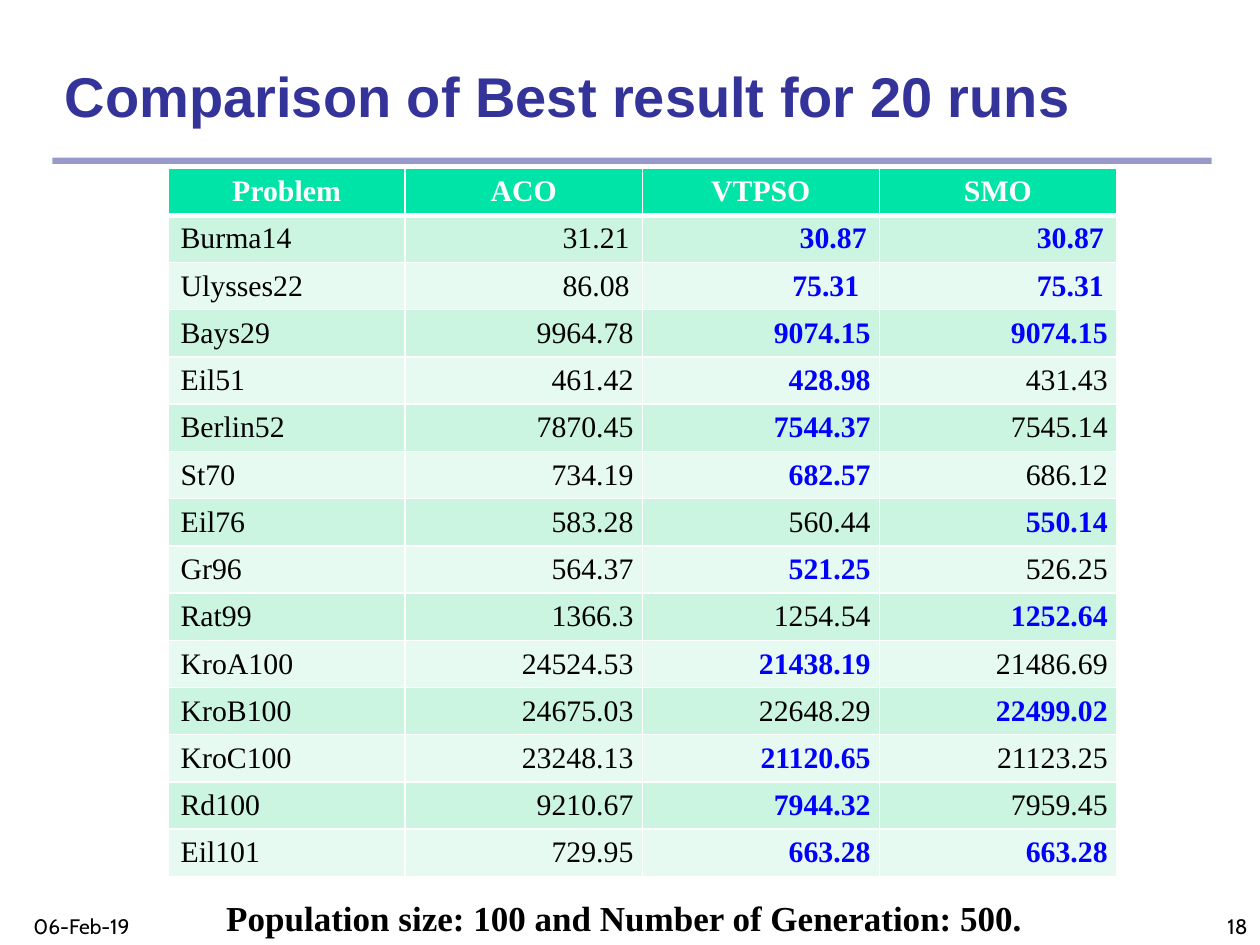
from lxml import etree
from pptx import Presentation
from pptx.dml.color import RGBColor
from pptx.enum.shapes import MSO_SHAPE
from pptx.enum.text import MSO_ANCHOR, PP_ALIGN
from pptx.oxml import parse_xml
from pptx.oxml.ns import nsdecls, qn
from pptx.util import Pt

RECT = MSO_SHAPE.RECTANGLE
TOP, MIDDLE, BOTTOM = MSO_ANCHOR.TOP, MSO_ANCHOR.MIDDLE, MSO_ANCHOR.BOTTOM
LEFT, CENTER, RIGHT = PP_ALIGN.LEFT, PP_ALIGN.CENTER, PP_ALIGN.RIGHT

NAVY = RGBColor(0x33, 0x33, 0x99)
BLACK = RGBColor(0, 0, 0)
WHITE = RGBColor(255, 255, 255)
BLUE = RGBColor(0, 0, 255)
GREEN = RGBColor(0x00, 0xE4, 0xA8)
MINT = RGBColor(0xCC, 0xF5, 0xE1)
PALE = RGBColor(0xE7, 0xFA, 0xF1)
SERIF = "Times New Roman"

HEADS = ["Problem", "ACO", "VTPSO", "SMO"]
RESULTS = [
    ["Burma14", "31.21", "30.87", "30.87"],
    ["Ulysses22", "86.08", "75.31 ", "75.31"],
    ["Bays29", "9964.78", "9074.15", "9074.15"],
    ["Eil51", "461.42", "428.98", "431.43"],
    ["Berlin52", "7870.45", "7544.37", "7545.14"],
    ["St70", "734.19", "682.57", "686.12"],
    ["Eil76", "583.28", "560.44", "550.14"],
    ["Gr96", "564.37", "521.25", "526.25"],
    ["Rat99", "1366.3", "1254.54", "1252.64"],
    ["KroA100", "24524.53", "21438.19", "21486.69"],
    ["KroB100", "24675.03", "22648.29", "22499.02"],
    ["KroC100", "23248.13", "21120.65", "21123.25"],
    ["Rd100", "9210.67", "7944.32", "7959.45"],
    ["Eil101", "729.95", "663.28", "663.28"],
]


def write(frame, text, size, font, color, bold, align):
    para = frame.paragraphs[0]
    para.text = text
    para.alignment = align
    para.font.size = Pt(size)
    para.font.name = font
    para.font.color.rgb = color
    para.font.bold = bold


def set_edges(cell, top, base):
    """Draw white cell borders; top and base are line widths in points."""
    props = cell._tc.get_or_add_tcPr()
    widths = {"lnL": 1, "lnR": 1, "lnT": top, "lnB": base}
    for i, (tag, width) in enumerate(widths.items()):
        props.insert(i, parse_xml(
            f'<a:{tag} {nsdecls("a")} w="{Pt(width)}"><a:solidFill>'
            f'<a:srgbClr val="{WHITE}"/></a:solidFill></a:{tag}>'))


deck = Presentation()
deck.slide_width, deck.slide_height = Pt(720), Pt(540)
slide = deck.slides.add_slide(deck.slide_layouts[6])
shapes = slide.shapes

# Half-transparent rule under the title
bar = shapes.add_shape(RECT, Pt(30), Pt(90), Pt(662.4), Pt(3.6))
bar.shadow.inherit = False
bar.fill.solid()
bar.fill.fore_color.rgb = NAVY
bar.line.fill.background()
tint = bar._element.spPr.find(qn("a:solidFill"))[0]
etree.SubElement(tint, qn("a:alpha")).set("val", "50000")

# Results table: the lowest value of each row stands out
table = shapes.add_table(len(RESULTS) + 1, len(HEADS), Pt(96), Pt(96),
                         Pt(542), Pt(405)).table
for col in table.columns:
    col.width = Pt(135.5)
for r, row in enumerate([HEADS] + RESULTS):
    table.rows[r].height = Pt(27)
    best = min(map(float, row[1:])) if r else None
    for c, text in enumerate(row):
        cell = table.cell(r, c)
        cell.fill.solid()
        if r == 0:
            fill, color, bold, align = GREEN, WHITE, True, CENTER
        else:
            bold = c > 0 and float(text) == best
            fill = MINT if r % 2 else PALE
            color = BLUE if bold else BLACK
            align = RIGHT if c else LEFT
            cell.vertical_anchor = MIDDLE
        if r > 2 and c:
            cell.margin_left = cell.margin_right = Pt(5)
            cell.margin_top = cell.margin_bottom = Pt(0)
        cell.fill.fore_color.rgb = fill
        write(cell.text_frame, text, 17, SERIF, color, bold, align)
        set_edges(cell, 3 if r == 1 else 1, 3 if r == 0 else 1)

# Title, caption, date and page number
for text, x, y, w, h, size, font, color, bold, align, anchor in [
    ("Comparison of Best result for 20 runs", 30, 36, 613.5, 41,
     32, "Arial", NAVY, True, LEFT, BOTTOM),
    ("18", 570, 504, 150, 36, 12, "Cabin", BLACK, False, RIGHT, BOTTOM),
    ("Population size: 100 and Number of Generation: 500.",
     18, 508.5, 677.5, 31.5, 20, SERIF, BLACK, True, CENTER, TOP),
    ("06-Feb-19", 12, 498, 150, 42, 12, "Cabin", BLACK, False, LEFT, BOTTOM),
]:
    frame = shapes.add_textbox(Pt(x), Pt(y), Pt(w), Pt(h)).text_frame
    frame.word_wrap = True
    frame.vertical_anchor = anchor
    write(frame, text, size, font, color, bold, align)

deck.save("out.pptx")
